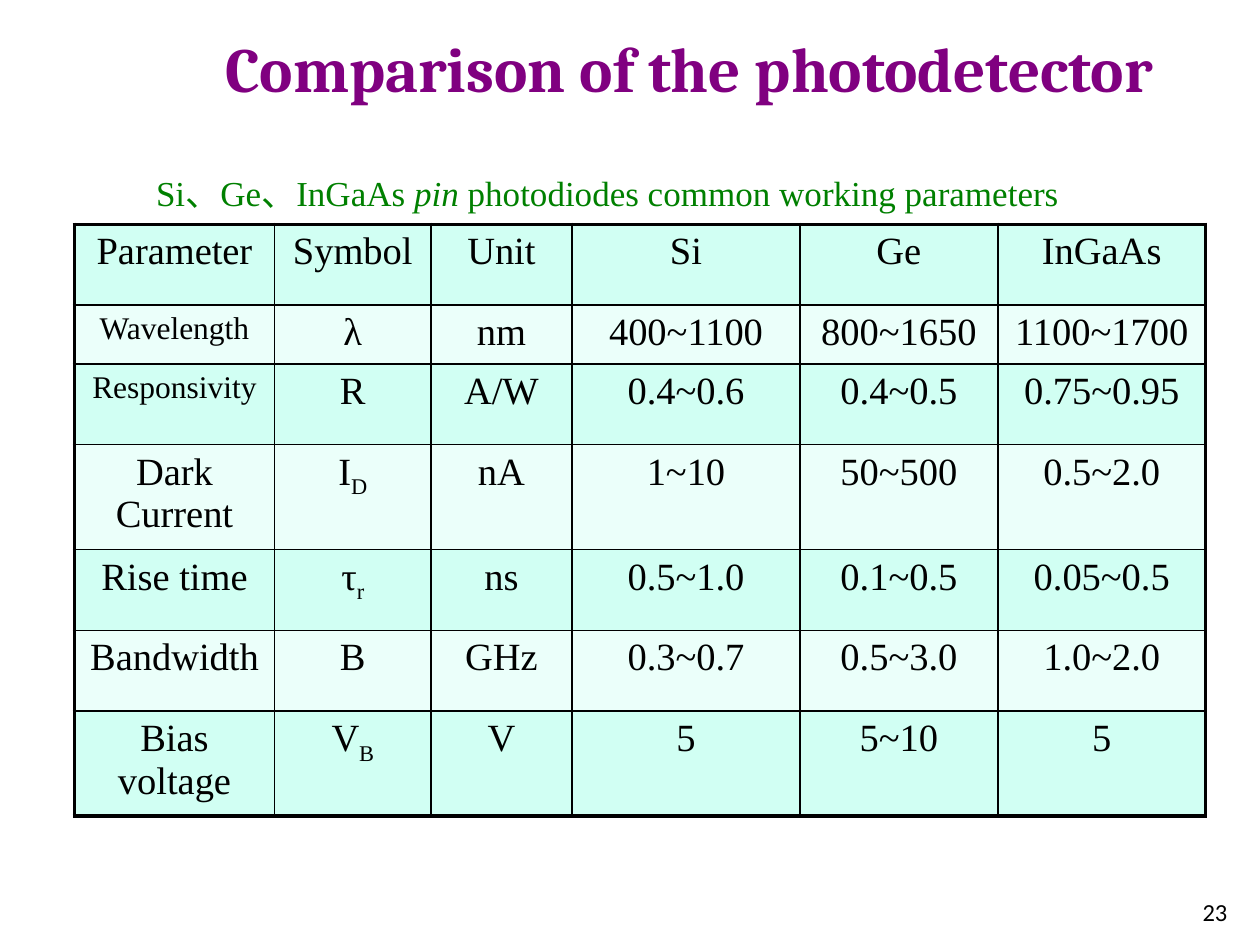
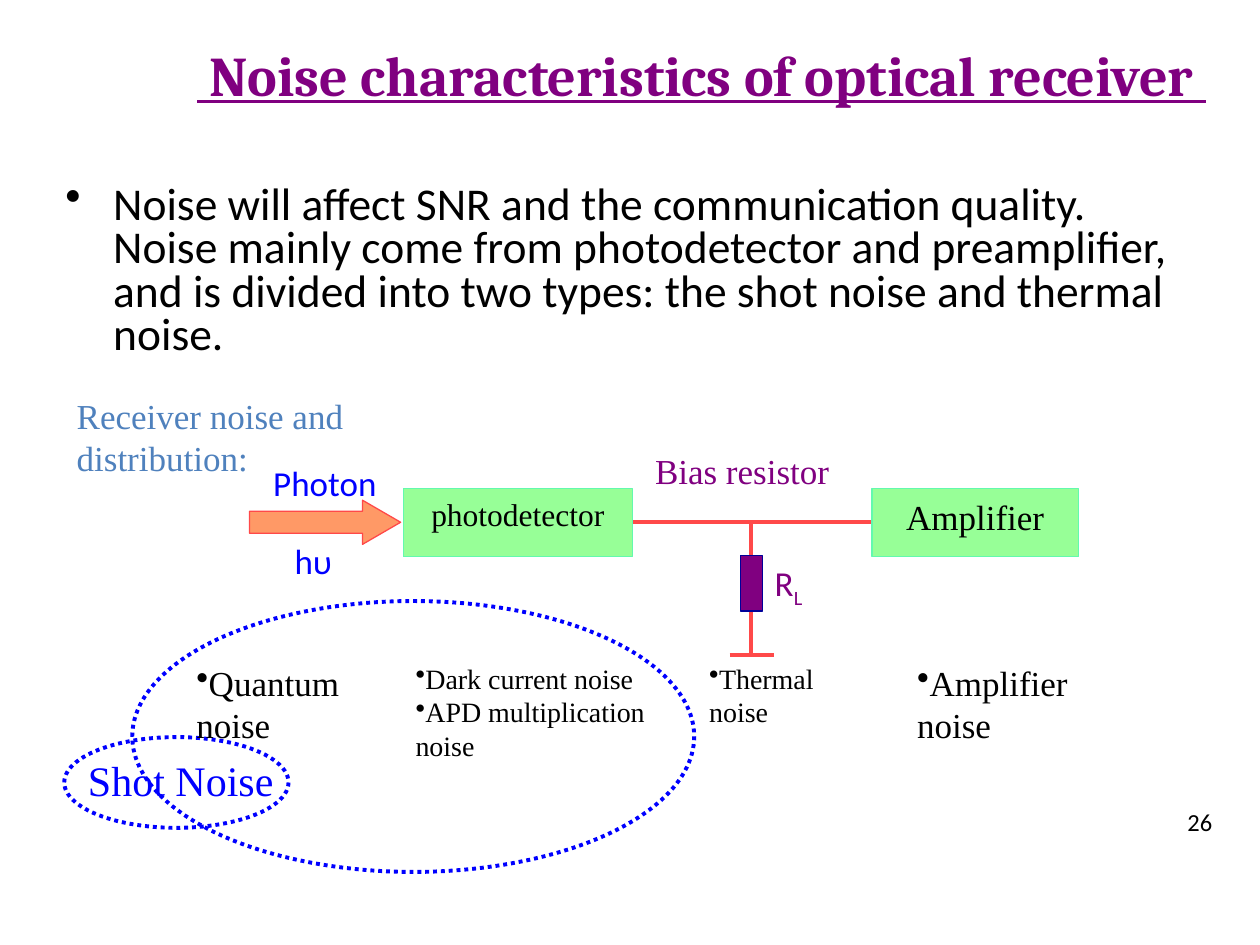
"""Build two slides on photodetector parameters and optical receiver noise."""
from lxml import etree
from pptx import Presentation
from pptx.dml.color import RGBColor as RGB
from pptx.enum.dml import MSO_LINE as DASH
from pptx.enum.shapes import MSO_CONNECTOR as CONN, MSO_SHAPE as SHAPE
from pptx.enum.text import MSO_ANCHOR as ANCHOR, PP_ALIGN as ALIGN
from pptx.oxml.ns import qn
from pptx.util import Inches, Pt

COLORS = {
    "black": "000000", "purple": "800080", "green": "008000", "blue": "0000FF",
    "steel": "4F81BD", "red": "FF4949", "orange": "FF9966", "box": "97FF97",
    "box_line": "63F9AE", "navy": "000099", "odd": "D1FFF3", "even": "EBFFFA",
}
C = {name: RGB.from_string(value) for name, value in COLORS.items()}
TIMES, CALIBRI, CAMBRIA = "Times New Roman", "Calibri", "Cambria"


def write(tf, *paras, size=20, font=TIMES, color="black", bold=False, underline=False,
          align=ALIGN.LEFT, bullet=False, hang=0, spacing=None):
    """Fill a text frame; a paragraph is a string or a list of (text, style) runs."""
    tf.word_wrap = True
    for i, para in enumerate(paras):
        p = tf.paragraphs[0] if i == 0 else tf.add_paragraph()
        p.alignment = align
        if spacing:
            p.line_spacing = spacing
        if bullet:
            pPr = p._p.get_or_add_pPr()
            pPr.set("marL", str(Inches(hang)))
            pPr.set("indent", str(-Inches(hang)))
            etree.SubElement(pPr, qn("a:buChar")).set("char", "•")
        for text, style in [(para, "")] if isinstance(para, str) else para:
            r = p.add_run()
            r.text = text
            f = r.font
            f.size, f.name, f.bold, f.underline = Pt(size), font, bold, underline
            f.color.rgb = C[color]
            if style == "italic":
                f.italic = True
            elif style == "sub":
                r._r.get_or_add_rPr().set("baseline", "-25000")


def add_text(s, at, *paras, anchor=ANCHOR.TOP, **fmt):
    """Add a text box at (left, top, width, height) in inches."""
    tf = s.shapes.add_textbox(*map(Inches, at)).text_frame
    tf.vertical_anchor = anchor
    write(tf, *paras, **fmt)


prs = Presentation()
prs.slide_width, prs.slide_height = Inches(10), Inches(7.5)

TITLE = dict(font=CAMBRIA, color="purple", bold=True, align=ALIGN.CENTER, anchor=ANCHOR.MIDDLE)
NUMBER = dict(font=CALIBRI, size=14, align=ALIGN.RIGHT, anchor=ANCHOR.BOTTOM)
slides = [
    ("Comparison of the photodetector", (1.53, 0.08, 7.88, 0.91), 36, False, "23", (7.76, 6.9)),
    (" Noise characteristics of optical receiver ", (1.14, 0.13, 8.86, 0.91), 32, True, "26", (7.64, 6.19)),
]
for title, at, size, underline, number, corner in slides:
    s = prs.slides.add_slide(prs.slide_layouts[6])
    add_text(s, at, title, size=size, underline=underline, **TITLE)
    add_text(s, (*corner, 2.08, 0.5), number, **NUMBER)
comparison, noise = prs.slides

add_text(comparison, (1.14, 1.31, 8.2, 0.43),
         [("Si、Ge、InGaAs ", ""), ("pin", "italic"),
          (" photodiodes common working parameters", "")], color="green")

rows = [
    ("Parameter", "Symbol", "Unit", "Si", "Ge", "InGaAs"),
    ("Wavelength", "λ", "nm", "400~1100", "800~1650", "1100~1700"),
    ("Responsivity", "R", "A/W", "0.4~0.6", "0.4~0.5", "0.75~0.95"),
    ("Dark Current", [("I", ""), ("D", "sub")], "nA", "1~10", "50~500", "0.5~2.0"),
    ("Rise time", [("τ", ""), ("r", "sub")], "ns", "0.5~1.0", "0.1~0.5", "0.05~0.5"),
    ("Bandwidth", "B", "GHz", "0.3~0.7", "0.5~3.0", "1.0~2.0"),
    ("Bias voltage", [("V", ""), ("B", "sub")], "V", "5", "5~10", "5"),
]
widths = [1.59, 1.24, 1.12, 1.81, 1.57, 1.65]
heights = [0.64, 0.47, 0.64, 0.83, 0.64, 0.64, 0.83]
table = comparison.shapes.add_table(len(rows), len(widths), Inches(0.59), Inches(1.78),
                                    Inches(sum(widths)), Inches(sum(heights))).table
table.first_row = table.horz_banding = False
for col, width in zip(table.columns, widths):
    col.width = Inches(width)
for i, row in enumerate(rows):
    table.rows[i].height = Inches(heights[i])
    for j, value in enumerate(row):
        cell = table.cell(i, j)
        write(cell.text_frame, value, align=ALIGN.CENTER,
              size=18 if value in ("Wavelength", "Responsivity") else 22)
        outer = {"L": j == 0, "R": j == len(row) - 1, "T": i == 0, "B": i == len(rows) - 1}
        tcPr = cell._tc.get_or_add_tcPr()
        for side, is_outer in outer.items():
            ln = etree.SubElement(tcPr, qn(f"a:ln{side}"), w=str(Pt(2.25 if is_outer else 1)))
            fill = etree.SubElement(ln, qn("a:solidFill"))
            etree.SubElement(fill, qn("a:srgbClr"), val=COLORS["black"])
        cell.fill.solid()
        cell.fill.fore_color.rgb = C["even" if i % 2 else "odd"]

add_text(noise, (0.42, 1.42, 9.08, 1.64),
         "Noise will affect SNR and the communication quality. Noise mainly come from "
         "photodetector and preamplifier, and is divided into two types: the shot noise "
         "and thermal noise.",
         size=26, font=CALIBRI, bullet=True, hang=0.38, spacing=0.8)

wire_y, resistor_x, ground_y = 4.14, 5.96, 5.2
wires = [
    (5.01, wire_y, 6.92, wire_y),
    (resistor_x, wire_y, resistor_x, 4.58),
    (resistor_x, 4.85, resistor_x, ground_y),
    (5.79, ground_y, 6.14, ground_y),
]
for ends in wires:
    wire = noise.shapes.add_connector(CONN.STRAIGHT, *map(Inches, ends))
    wire.line.color.rgb, wire.line.width = C["red"], Pt(2.25)
    etree.SubElement(wire._element.spPr, qn("a:effectLst"))

parts = [
    (SHAPE.RECTANGLE, (3.2, 3.88, 1.82, 0.54), "box", "box_line", "photodetector", 18),
    (SHAPE.RIGHT_ARROW, (1.98, 3.97, 1.2, 0.35), "orange", "red", None, None),
    (SHAPE.RECTANGLE, (6.92, 3.88, 1.64, 0.54), "box", "box_line", "Amplifier", 20),
    (SHAPE.RECTANGLE, (5.88, 4.41, 0.17, 0.44), "purple", "navy", None, None),
    (SHAPE.OVAL, (1.05, 4.77, 4.46, 2.15), None, "blue", None, None),
    (SHAPE.OVAL, (0.51, 5.85, 1.78, 0.72), None, "blue", None, None),
]
for kind, at, fill, line, label, size in parts:
    sp = noise.shapes.add_shape(kind, *map(Inches, at))
    sp.shadow.inherit = False
    sp.line.color.rgb = C[line]
    if fill:
        sp.fill.solid()
        sp.fill.fore_color.rgb = C[fill]
        sp.line.width = Pt(0.75)
    else:
        sp.fill.background()
        sp.line.width, sp.line.dash_style = Pt(2.25), DASH.ROUND_DOT
    if kind == SHAPE.RIGHT_ARROW:
        sp.adjustments[1] = 0.863
    if label:
        sp.text_frame.vertical_anchor = ANCHOR.TOP
        write(sp.text_frame, label, size=size, align=ALIGN.CENTER)

labels = [
    ((0.51, 3.08, 3.12, 0.46), "Receiver noise and distribution:", TIMES, "steel", 20),
    ((5.1, 3.52, 1.82, 0.46), "Bias resistor", TIMES, "purple", 20),
    ((2.07, 3.61, 1.38, 0.46), "Photon", CALIBRI, "blue", 20),
    ((2.24, 4.23, 0.87, 0.46), "hυ", CALIBRI, "blue", 20),
    ((6.05, 4.41, 0.78, 0.46), [("R", ""), ("L", "sub")], CALIBRI, "purple", 20),
    ((0.6, 5.94, 1.87, 0.54), "Shot Noise", TIMES, "blue", 24),
]
for at, text, font, color, size in labels:
    add_text(noise, at, text, font=font, color=color, size=size)

sources = [
    (1.46, 1.64, 0.46, 20, ["Quantum noise"]),
    (3.2, 2.16, 1.31, 16, ["Dark current noise", "APD multiplication noise"]),
    (5.53, 1.21, 0.46, 16, ["Thermal noise"]),
    (7.18, 1.99, 0.46, 20, ["Amplifier noise"]),
]
for left, width, height, size, items in sources:
    add_text(noise, (left, ground_y, width, height), *items, size=size, bullet=True)

prs.save("out.pptx")
